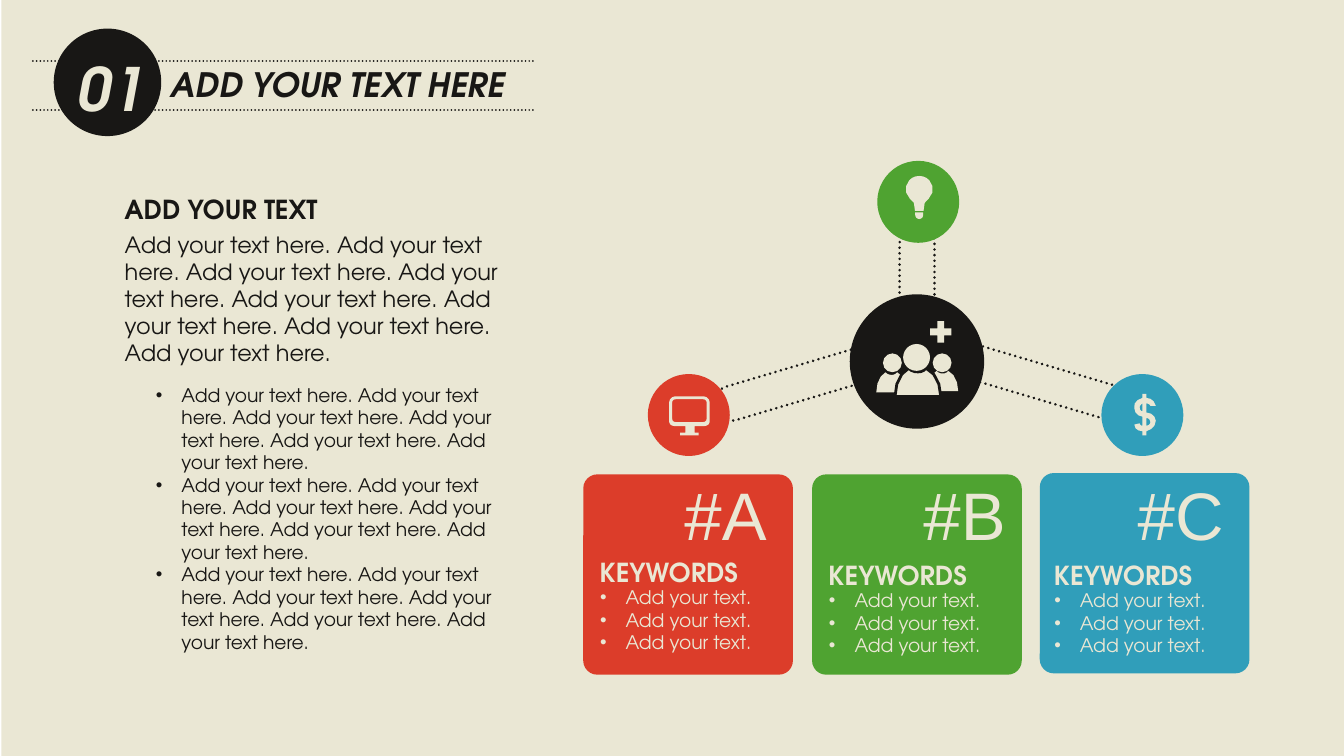
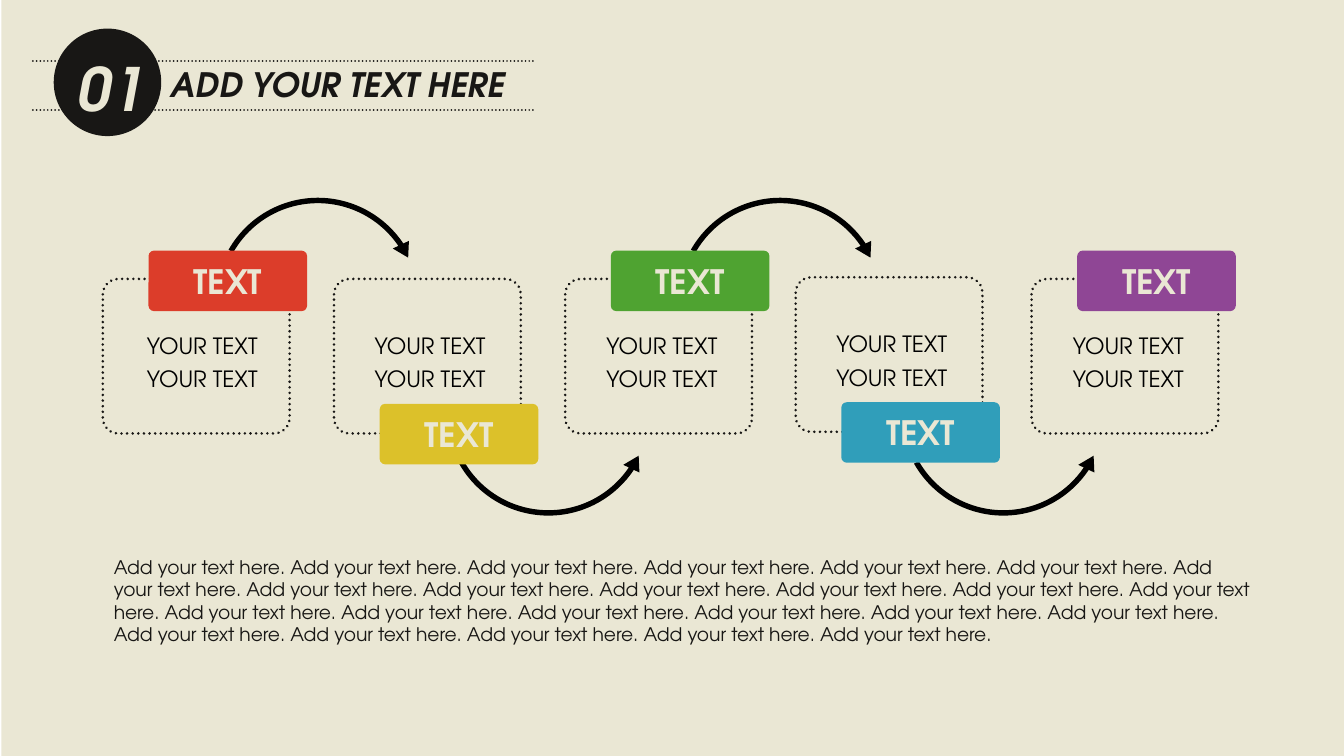
from pptx import Presentation
from pptx.dml.color import RGBColor
from pptx.enum.dml import MSO_LINE as Dash
from pptx.enum.shapes import MSO_CONNECTOR as Link, MSO_SHAPE as Kind
from pptx.enum.text import MSO_ANCHOR as Anchor, MSO_AUTO_SIZE as Auto, PP_ALIGN as Align
from pptx.oxml import parse_xml
from pptx.oxml.ns import nsdecls
from pptx.util import Inches, Pt

# Grid: 100 columns across; rows are as tall as columns are wide
WIDE, HIGH = Inches(10), Inches(5.625)
COLS, ROWS = 100, 56.25
UNIT = WIDE / COLS

# Colours and fonts
CREAM, INK, BLACK = "EAE7D4", "181715", "000000"
RED, GREEN, BLUE = "DC3D2A", "4FA331", "309EBA"
GOLD, PLUM = "DCC12A", "8F4695"
FACE = "TeX Gyre Adventor"
SMALL = {"name": FACE, "size": Pt(10), "bold": False}
BODY = {**SMALL, "size": Pt(12)}
HEAD = {"name": FACE, "size": Pt(14), "bold": True}
TAG = {**HEAD, "size": Pt(18)}
TITLE = {**TAG, "italic": True}
NUMBER = {**TITLE, "size": Pt(32)}
LETTER = {"name": "Arial", "size": Pt(36)}

PHRASE = "Add your text here."

# Icon outlines in shares of their box: pairs are corners, sixes are curves
TORSO = [[(.68, 0), (.87, .13, 1, .53, 1, 1), (0, 1), (0, .53, .13, .13, .3, 0),
          (.35, .1, .43, .13, .5, .13), (.57, .13, .63, .1, .68, 0)]]
SCREEN = [
    [(.17, .07), (.1, .07, .07, .1, .07, .17), (.07, .55), (.07, .62, .1, .66, .17, .66),
     (.83, .66), (.9, .66, .93, .62, .93, .55), (.93, .17), (.93, .1, .9, .07, .83, .07)],
    [(.13, 0), (.87, 0), (.93, 0, 1, .07, 1, .14), (1, .66), (1, .72, .93, .76, .87, .76),
     (.63, .76), (.63, .93), (.73, .93), (.73, 1), (.27, 1), (.27, .93), (.4, .93),
     (.4, .76), (.13, .76), (.07, .76, 0, .72, 0, .66), (0, .14), (0, .07, .07, 0, .13, 0)]]
BULB = [[(.5, 0), (.65, 0, .77, .04, .87, .12), (1.05, .27, 1.05, .5, .85, .65),
         (.7, .77), (.66, 1), (.34, 1), (.3, .77), (.15, .65),
         (-.05, .5, -.05, .27, .13, .12), (.23, .04, .35, 0, .5, 0)]]
SOCKET = [[(0, 0), (1, 0), (1, .4), (1, .8, .7, 1, .5, 1), (.3, 1, 0, .8, 0, .4)]]
DOLLAR = [
    [(.56, .58), (.56, .77), (.69, .77, .75, .71, .75, .68), (.75, .61, .63, .58, .56, .58)],
    [(.38, .23), (.31, .26, .25, .29, .25, .32), (.25, .39, .31, .42, .38, .42)],
    [(.38, 0), (.56, 0), (.56, .1), (.75, .1, .94, .16, 1, .29), (.75, .29),
     (.75, .26, .63, .23, .56, .23), (.56, .45), (.81, .45, 1, .55, 1, .65),
     (1, .77, .81, .87, .56, .9), (.56, 1), (.38, 1), (.38, .9),
     (.19, .9, 0, .84, 0, .74), (.25, .71), (.25, .74, .31, .77, .38, .77),
     (.38, .55), (.19, .55, 0, .45, 0, .35), (-.06, .23, .13, .13, .38, .1)]]


def rgb(code):
    return RGBColor.from_string(code)


def span(*cells):
    return [round(n * UNIT) for n in cells]


def apply(thing, form):
    for key, val in form.items():
        setattr(thing, key, val)


def stroke(shape, width, dots=True):
    shape.line.color.rgb = rgb(INK)
    shape.line.width = Pt(width)
    if dots:
        shape.line.dash_style = Dash.ROUND_DOT
        shape.element.spPr.find("{*}ln").set("cap", "rnd")


def paint(shape, fill=None, dots=False):
    shape.shadow.inherit = False
    if fill:
        shape.fill.solid()
        shape.fill.fore_color.rgb = rgb(fill)
    else:
        shape.fill.background()
    if dots:
        stroke(shape, 1.5)
    else:
        shape.line.fill.background()
    return shape


def draw(shapes, kind, box, fill=None, dots=False, adj=(), turn=0):
    shape = paint(shapes.add_shape(kind, *span(*box)), fill, dots)
    for i, val in enumerate(adj):
        shape.adjustments[i] = val
    shape.rotation = turn
    return shape


# Text
def mark(para, bullet):
    props = para._p.get_or_add_pPr()
    inset = Inches(0.19) if bullet else 0
    props.set("marL", str(inset))
    props.set("indent", str(-inset))
    tags = ['<a:buFont %s typeface="Arial"/>', '<a:buChar %s char="•"/>']
    for tag in tags if bullet else ["<a:buNone %s/>"]:
        props.append(parse_xml(tag % nsdecls("a")))


def write(frame, lines, look, code, bullet=False, align=Align.LEFT, lead=1.0):
    for i, line in enumerate(lines):
        para = frame.add_paragraph() if i else frame.paragraphs[0]
        mark(para, bullet)
        apply(para, {"alignment": align, "line_spacing": lead,
                     "space_before": Pt(0), "space_after": Pt(0)})
        run = para.add_run()
        run.text = line
        apply(run.font, look)
        run.font.color.rgb = rgb(code)


def place(shape, box, lines, look, code, wrap=True, **form):
    apply(shape, dict(zip(("left", "top", "width", "height"), span(*box))))
    apply(shape.text_frame, {"word_wrap": wrap, "vertical_anchor": Anchor.TOP,
                             "auto_size": Auto.SHAPE_TO_FIT_TEXT})
    write(shape.text_frame, lines, look, code, **form)


def note(slide, box, *args, **form):
    place(slide.shapes.add_textbox(*span(*box)), box, *args, **form)


# Icons
def bend(start, curve, steps=3):
    x1, y1, x2, y2, x3, y3 = curve
    for i in range(1, steps + 1):
        t = i / steps
        u = 1 - t
        yield tuple(u**3 * a + 3 * u * u * t * b + 3 * u * t * t * c + t**3 * d
                    for a, b, c, d in zip(start, (x1, y1), (x2, y2), (x3, y3)))


def trace(shapes, box, loops):
    x, y, w, h = span(*box)
    pen = None
    for loop in loops:
        dots = [loop[0]]
        for step in loop[1:]:
            dots.extend([step] if len(step) == 2 else bend(dots[-1], step))
        dots = [(round(x + w * a), round(y + h * b)) for a, b in dots]
        if pen:
            pen.move_to(*dots[0])
        else:
            pen = shapes.build_freeform(*dots[0], scale=1.0)
        pen.add_line_segments(dots[1:], close=True)
    return paint(pen.convert_to_shape(), CREAM)


def crowd(slide):
    group = slide.shapes.add_group_shape().shapes
    for x, y, head in ((65.2, 27.7, 65.7), (69, 27.6, 69.4)):
        trace(group, (x, y, 2.3, 1.5), TORSO)
        draw(group, Kind.OVAL, (head, 26.3, 1.4, 1.4), CREAM)
    stroke(trace(group, (66.6, 27.4, 3.4, 2.1), TORSO), 1.5, dots=False)
    draw(group, Kind.OVAL, (67.2, 25.6, 2, 2), CREAM)
    draw(group, Kind.CROSS, (69.2, 23.9, 1.6, 1.6), CREAM, adj=[0.338])


def lamp(slide):
    group = slide.shapes.add_group_shape().shapes
    trace(group, (67.4, 13.1, 2, 2.6), BULB)
    trace(group, (68.1, 15.8, 0.6, 0.5), SOCKET)


# Shared slide: backdrop, dotted band, number and title
def start(deck):
    slide = deck.slides.add_slide(deck.slide_layouts[1])
    title = slide.shapes.title
    back = draw(slide.shapes, Kind.RECTANGLE, (0.1, 0, COLS - 0.1, ROWS), CREAM)
    title.element.addprevious(back.element)
    for y in (4.53, 8.2):
        rule = slide.shapes.add_connector(Link.STRAIGHT, *span(2.45, y, 39.8, y))
        stroke(rule, 1)
        rule.element.spPr.append(parse_xml("<a:effectLst %s/>" % nsdecls("a")))
    draw(slide.shapes, Kind.OVAL, (4, 2.13, 8, 8), INK)
    place(title, (11.7, 4.25, 27.6, 4), ["ADD YOUR TEXT HERE"], TITLE, INK, wrap=False)
    note(slide, (4.8, 3.37, 7, 6.4), ["01"], NUMBER, CREAM, wrap=False)
    return slide


# Slide 1: hub with three nodes and cards
def card(slide, x, y, code, name, left, head, top, gap):
    draw(slide.shapes, Kind.ROUNDED_RECTANGLE, (x, y, 15.6, 14.9), code, adj=[0.07])
    note(slide, (left, 34.7, 9, 7.1), [name], LETTER, CREAM, wrap=False)
    note(slide, (head, top, 12.4, 3.4), ["KEYWORDS"], HEAD, CREAM,
         wrap=False, align=Align.CENTER)
    note(slide, (head + 0.1, top + gap, 19, 6.1), ["Add your text."] * 3, SMALL, CREAM,
         bullet=True)


def hub(deck):
    slide = start(deck)
    shapes = slide.shapes
    for x, y, w, turn in ((52.9, 27.2, 13.2, 343.5), (70.8, 27.1, 13.2, 16.5),
                          (64.93, 18.8, 6.6, 90)):
        draw(shapes, Kind.ROUNDED_RECTANGLE, (x, y, w, 2.6), dots=True,
             adj=[0.5], turn=turn)
    for x, y, size, code in ((65.27, 11.97, 6.1, GREEN), (48.2, 27.83, 6.1, RED),
                             (81.95, 27.83, 6.1, BLUE), (63.23, 21.9, 10, INK)):
        draw(shapes, Kind.OVAL, (x, y, size, size), code)
    crowd(slide)
    lamp(slide)
    trace(shapes, (49.8, 29.5, 3, 2.9), SCREEN)
    trace(shapes, (84.4, 29.3, 1.6, 3.1), DOLLAR)

    for row in ((43.4, 35.3, RED, "#A", 49.95, 43.57, 40.9, 2.23),
                (60.43, 35.3, GREEN, "#B", 67.73, 60.6, 41.1, 2.25),
                (77.37, 35.2, BLUE, "#C", 83.67, 77.37, 41.1, 2.25)):
        card(slide, *row)

    note(slide, (8.27, 13.9, 16.5, 3.4), ["ADD YOUR TEXT"], HEAD, INK, wrap=False)
    note(slide, (8.3, 16.73, 31.4, 11.1), [" ".join([PHRASE] * 7), PHRASE], BODY, INK)
    place(slide.placeholders[1], (10.6, 28.05, 28.3, 22.9),
          [" ".join([PHRASE] * 6)] * 3, SMALL, INK, bullet=True)


# Slide 2: five steps joined by curved arrows
def arc(slide, x, y, flip):
    shape = draw(slide.shapes, Kind.CIRCULAR_ARROW, (x, y, 16.2, 16.2), BLACK,
                 adj=[0.025, 5.124, 195.681, 125.755, 0.041])
    if flip:
        shape.element.spPr.xfrm.set("flipV", "1")


def step(slide, x, y, drop, code, left):
    draw(slide.shapes, Kind.ROUNDED_RECTANGLE, (x, y, 13.9, 11.5), dots=True, adj=[0.1])
    tag = draw(slide.shapes, Kind.ROUNDED_RECTANGLE, (x + 3.4, y + drop, 11.8, 4.5),
               code, adj=[0.09])
    tag.text_frame.vertical_anchor = Anchor.MIDDLE
    write(tag.text_frame, ["TEXT"], TAG, CREAM, align=Align.CENTER)
    label = slide.shapes.add_textbox(*span(left, y - 1.8, 18.8, 15.5)).text_frame
    apply(label, {"word_wrap": True, "vertical_anchor": Anchor.MIDDLE})
    write(label, ["YOUR TEXT"] * 2, BODY, BLACK, align=Align.CENTER, lead=Pt(18))


def flow(deck):
    slide = start(deck)
    for x, y, flip in ((15.55, 14.25, False), (32.7, 22.63, True),
                       (49.95, 14.25, False), (66.55, 22.63, True)):
        arc(slide, x, y, flip)
    over, under = -2.1, 9.3
    for row in ((7.65, 20.75, over, RED, 5.65), (24.85, 20.75, under, GOLD, 22.6),
                (42.05, 20.75, over, GREEN, 39.85), (59.2, 20.63, under, BLUE, 56.95),
                (76.75, 20.75, over, PLUM, 74.55)):
        step(slide, *row)
    place(slide.placeholders[1], (7.47, 40.83, 86.9, 7.7),
          [" ".join([PHRASE] * 24)], SMALL, INK)


def main():
    deck = Presentation()
    apply(deck, {"slide_width": WIDE, "slide_height": HIGH})
    hub(deck)
    flow(deck)
    deck.save("out.pptx")


if __name__ == "__main__":
    main()
